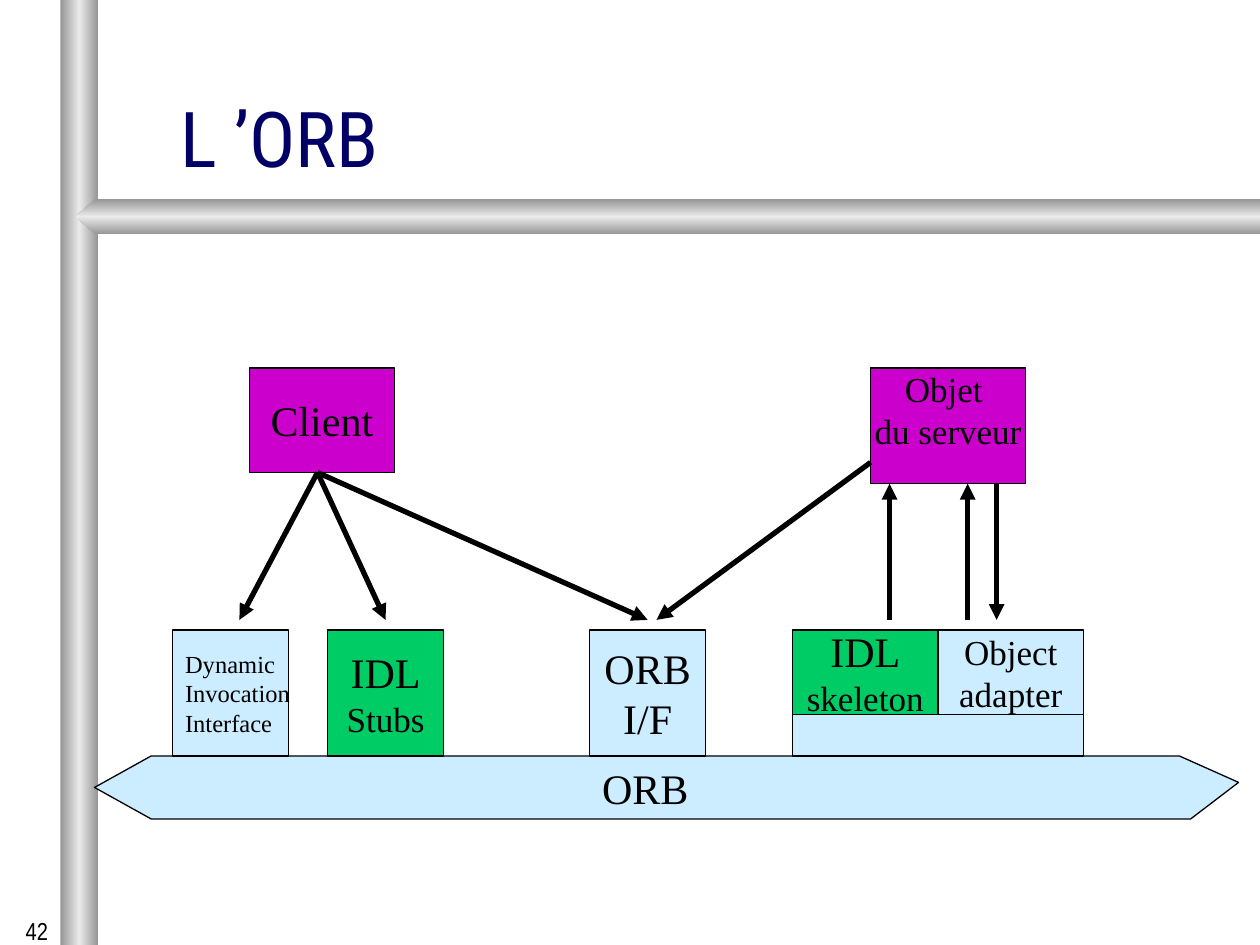
from copy import deepcopy

from lxml import etree
from pptx import Presentation
from pptx import util as u
from pptx.dml import color
from pptx.enum import shapes, text
from pptx.oxml import ns

Inches, Pt = u.Inches, u.Pt
COLORS = {
    "edge": "969696", "shine": "EAEAEA", "title": "000066", "ink": "000000",
    "object": "CC00CC", "orb": "CCECFF", "idl": "00CC66",
}
SERIF = "Times New Roman"
CENTER, LEFT, RIGHT = text.PP_ALIGN.CENTER, text.PP_ALIGN.LEFT, text.PP_ALIGN.RIGHT
TOP, MIDDLE, BOTTOM = text.MSO_ANCHOR.TOP, text.MSO_ANCHOR.MIDDLE, text.MSO_ANCHOR.BOTTOM


def rgb(name):
    return color.RGBColor.from_string(COLORS[name])


def place(shape, box):
    shape.left, shape.top, shape.width, shape.height = map(Inches, box)


def write(shape, lines, sizes, align=CENTER, anchor=MIDDLE, font=SERIF, ink="ink", wrap=False):
    frame = shape.text_frame
    frame.text = "\n".join(lines)
    frame.word_wrap = wrap
    frame.auto_size = text.MSO_AUTO_SIZE.NONE
    frame.vertical_anchor = anchor
    for paragraph, size in zip(frame.paragraphs, sizes):
        paragraph.alignment = align
        paragraph.font.name = font
        paragraph.font.size = Pt(size)
        paragraph.font.color.rgb = rgb(ink)
    return frame


def paint(shape, fill):
    shape.shadow.inherit = False
    shape.fill.solid()
    shape.fill.fore_color.rgb = rgb(fill)
    shape.line.color.rgb = rgb("ink")
    shape.line.width = Pt(0.75)


def paint_bar(shape, angle):
    shape.shadow.inherit = False
    shape.line.fill.background()
    shape.fill.gradient()
    shape.fill.gradient_angle = angle
    for stop in shape.fill.gradient_stops:
        stop.color.rgb = rgb("edge")
    stops = shape.element.spPr.find(".//" + ns.qn("a:gsLst"))
    middle = deepcopy(stops[0])
    middle.set("pos", "50000")
    middle[0].set("val", COLORS["shine"])
    stops.insert(1, middle)


def add_outline(slide, points):
    points = [(Inches(x), Inches(y)) for x, y in points]
    builder = slide.shapes.build_freeform(*points[0])
    builder.add_line_segments(points[1:], close=True)
    return builder.convert_to_shape()


def add_box(slide, box, fill, lines=(), sizes=(), **layout):
    shape = slide.shapes.add_shape(shapes.MSO_SHAPE.RECTANGLE, *map(Inches, box))
    paint(shape, fill)
    return write(shape, lines, sizes, **layout)


def add_arrow(slide, start, end):
    connector = slide.shapes.add_connector(
        shapes.MSO_CONNECTOR.STRAIGHT, *map(Inches, (*start, *end)))
    connector.line.color.rgb = rgb("ink")
    connector.line.width = Pt(3)
    etree.SubElement(connector.line._get_or_add_ln(), ns.qn("a:tailEnd"), type="triangle")
    etree.SubElement(connector.element.spPr, ns.qn("a:effectLst"))


def add_frame(slide, box):
    left, top, width, height = box
    post = slide.shapes.add_shape(
        shapes.MSO_SHAPE.RECTANGLE, *map(Inches, (left, top, 0.3, height)))
    paint_bar(post, 0)
    right, rail, depth = left + width, top + 1.58, 0.28
    beam = add_outline(slide, [
        (right, rail), (left + 0.28, rail), (left + 0.12, rail + depth / 2),
        (left + 0.28, rail + depth), (right, rail + depth)])
    paint_bar(beam, 90)


def add_title(slide, box):
    title = slide.shapes.title
    place(title, box)
    write(title, ["L\u00a0’ORB"], [44], LEFT, BOTTOM, "Roboto Condensed", "title", True)


def add_bus(slide, box):
    left, top, width, height = box
    right, bottom = left + width, top + height
    bus = add_outline(slide, [
        (left, top + height / 2), (left + 0.45, top), (right - 0.47, top),
        (right, top + 0.21), (right - 0.38, bottom), (left + 0.45, bottom)])
    paint(bus, "orb")
    label = slide.shapes.add_textbox(*map(Inches, (left + 3.93, top, 0.88, height)))
    write(label, ["ORB"], [24], LEFT, TOP)


def add_client_side(slide, box):
    left, top, width, height = box
    port_top = top + height - 1
    add_box(slide, (left + 0.61, top, 1.15, 0.83), "object", ["Client"], [24])
    ports = [
        (0, "orb", ["Dynamic", "Invocation", "Interface"], [14] * 3, LEFT),
        (1.23, "idl", ["IDL", "Stubs"], [24, 20], CENTER),
        (3.31, "orb", ["ORB", "I/F"], [24, 24], CENTER),
    ]
    for offset, fill, lines, sizes, align in ports:
        add_box(slide, (left + offset, port_top, 0.92, 1), fill, lines, sizes, align=align)
    for offset in (0.53, 1.69, 3.77):
        add_arrow(slide, (left + 1.15, top + 0.83), (left + offset, port_top - 0.08))


def add_server_side(slide, box):
    left, top, width, height = box
    port_top, half = top + height - 1, width / 2
    frame = add_box(slide, (left + 0.62, top, 1.23, 0.92), "object",
                    ["Objet ", "du serveur"], [20, 20], anchor=TOP)
    frame.margin_top = 0
    add_box(slide, (left, port_top + 0.67, width, 0.33), "orb")
    add_box(slide, (left, port_top, half, 0.67), "idl", ["IDL", "skeleton"], [24, 20])
    add_box(slide, (left + half, port_top, half, 0.67), "orb", ["Object", "adapter"], [20, 20])
    low, high = port_top - 0.08, top + 0.92
    add_arrow(slide, (left + 0.62, top + 0.75), (left - 1.08, low))
    for offset, start, end in ((0.77, low, high), (1.39, low, high), (1.62, high, low)):
        add_arrow(slide, (left + offset, start), (left + offset, end))


def add_page_number(slide, box):
    number = slide.shapes.add_textbox(*map(Inches, box))
    write(number, ["42"], [14], RIGHT, TOP, "Arial Narrow", wrap=True)


def main():
    presentation = Presentation()
    presentation.slide_width, presentation.slide_height = Inches(10), Inches(7.5)
    slide = presentation.slides.add_slide(presentation.slide_layouts[5])
    add_frame(slide, (0.48, 0, 9.52, 7.5))
    add_title(slide, (1.33, 0.25, 8.5, 1.25))
    add_bus(slide, (0.75, 6, 9.08, 0.5))
    add_client_side(slide, (1.37, 2.92, 4.23, 3.08))
    add_server_side(slide, (6.29, 2.92, 2.31, 3.08))
    add_page_number(slide, (0, 7.22, 0.48, 0.28))
    presentation.save("out.pptx")


if __name__ == "__main__":
    main()
